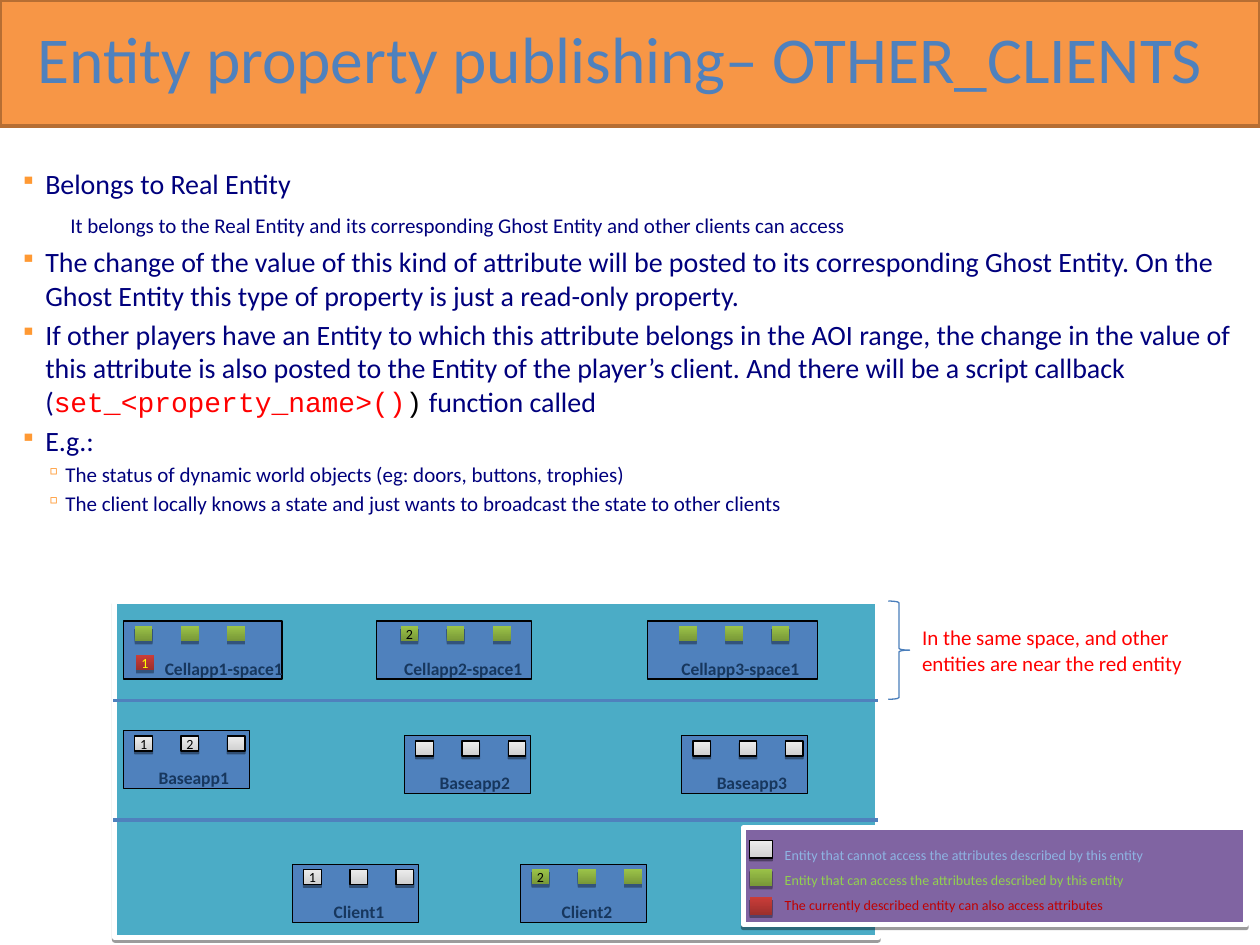
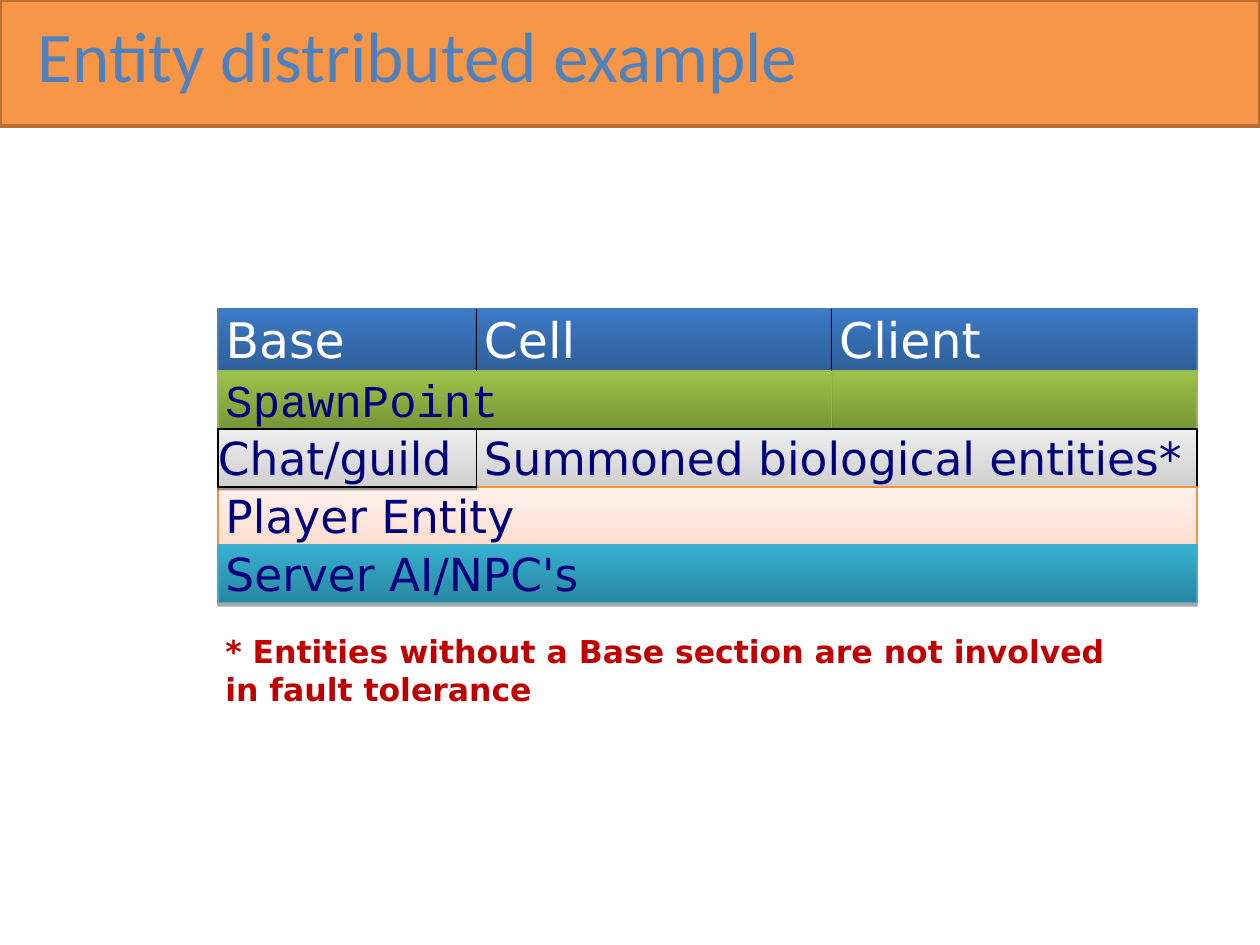
from lxml.etree import SubElement
from pptx import Presentation
from pptx.dml.color import RGBColor
from pptx.enum.shapes import MSO_CONNECTOR, MSO_SHAPE
from pptx.enum.text import MSO_ANCHOR, PP_ALIGN
from pptx.oxml.ns import qn
from pptx.util import Inches, Pt

ORANGE = RGBColor(0xF7, 0x96, 0x46)
BROWN = RGBColor(0xB6, 0x6E, 0x33)
BLUE = RGBColor(0x4F, 0x81, 0xBD)
MID_BLUE = RGBColor(0x4A, 0x7E, 0xBB)
SKY = RGBColor(0x8E, 0xB4, 0xE3)
NAVY = RGBColor(0x00, 0x00, 0x7D)
LABEL = RGBColor(0x17, 0x37, 0x5E)
TEAL = RGBColor(0x4B, 0xAC, 0xC6)
AQUA_LINE = RGBColor(0x46, 0xAA, 0xC4)
PURPLE = RGBColor(0x80, 0x64, 0xA2)
LIME = RGBColor(0x92, 0xD0, 0x50)
GREEN_LINE = RGBColor(0x98, 0xB8, 0x55)
PEACH_LINE = RGBColor(0xF5, 0x92, 0x40)
DARK_RED = RGBColor(0xC0, 0x00, 0x00)
RED = RGBColor(0xFF, 0x00, 0x00)
YELLOW = RGBColor(0xFF, 0xFF, 0x00)
BLACK = RGBColor(0x00, 0x00, 0x00)
WHITE = RGBColor(0xFF, 0xFF, 0xFF)
BULLET = "FF9933"

BLUE_GRAD = [RGBColor(0x2E, 0x5F, 0x99), RGBColor(0x3C, 0x7A, 0xC7)]
GREEN_GRAD = [RGBColor(0x77, 0x96, 0x37), RGBColor(0x9B, 0xC3, 0x48)]
RED_GRAD = [RGBColor(0x9C, 0x2F, 0x2C), RGBColor(0xCB, 0x3D, 0x39)]
GREY_GRAD = [RGBColor(0xD0, 0xD0, 0xD0), RGBColor(0xED, 0xED, 0xED)]
PEACH_GRAD = [RGBColor(0xFF, 0xDE, 0xD0), RGBColor(0xFF, 0xF1, 0xEC)]
AQUA_GRAD = [RGBColor(0x29, 0x88, 0xA1), RGBColor(0x36, 0xB0, 0xD1)]

SANS, MONO, WIDE = "Calibri", "Courier New", "DejaVu Sans"
STRONG, SOFT = (35, 1.8), (38, 1.6)
PAD = (0.1, 0.05, 0.1, 0.05)

prs = Presentation()
prs.slide_width, prs.slide_height = Inches(10), Inches(7.5)
COL = prs.slide_width / 100
ROW = prs.slide_height / 75


def box(s, x, y, w, h, fill=None, line=None, pt=0.75, shadow=None, kind=MSO_SHAPE.RECTANGLE):
    at = int(x * COL), int(y * ROW), int(w * COL), int(h * ROW)
    if kind is None:
        return s.shapes.add_textbox(*at)
    sp = s.shapes.add_shape(kind, *at)
    sp.shadow.inherit = False
    if isinstance(fill, list):
        sp.fill.gradient()
        sp.fill.gradient_angle = 90
        for stop, color in zip(sp.fill.gradient_stops, fill):
            stop.color.rgb = color
    elif fill is None:
        sp.fill.background()
    else:
        sp.fill.solid()
        sp.fill.fore_color.rgb = fill
    if line is None:
        sp.line.fill.background()
    else:
        sp.line.color.rgb = line
        sp.line.width = Pt(pt)
    if shadow:
        alpha, dist = shadow
        effects = sp._element.spPr.find(qn("a:effectLst"))
        outer = SubElement(effects, qn("a:outerShdw"), blurRad="0", dist=str(Pt(dist)),
                           dir="5400000", rotWithShape="0")
        clr = SubElement(outer, qn("a:srgbClr"), val="000000")
        SubElement(clr, qn("a:alpha"), val=str(alpha * 1000))
    return sp


def write(sp, paras, ins=PAD, anchor=MSO_ANCHOR.TOP, wrap=True):
    tf = sp.text_frame
    sides = ("margin_left", "margin_top", "margin_right", "margin_bottom")
    frame = dict(zip(sides, map(Inches, ins)), vertical_anchor=anchor, word_wrap=wrap)
    for name, value in frame.items():
        setattr(tf, name, value)
    for i, (runs, fmt) in enumerate(paras):
        p = tf.paragraphs[0] if i == 0 else tf.add_paragraph()
        p.alignment = PP_ALIGN.LEFT
        pPr = p._p.get_or_add_pPr()
        margin, indent, char, pct = fmt.get("bullet", (0, 0, None, 0))
        pPr.set("marL", str(Inches(margin)))
        pPr.set("indent", str(Inches(indent)))
        if char:
            clr = SubElement(pPr, qn("a:buClr"))
            SubElement(clr, qn("a:srgbClr"), val=BULLET)
            SubElement(pPr, qn("a:buSzPct"), val=str(pct * 1000))
            SubElement(pPr, qn("a:buChar"), char=char)
        for name in ("line_spacing", "space_before", "space_after"):
            if name in fmt:
                setattr(p, name, fmt[name])
        for text, size, font, color, *bold in runs:
            r = p.add_run()
            r.text = text
            r.font.color.rgb = color
            for name, value in {"size": Pt(size), "name": font, "bold": bool(bold)}.items():
                setattr(r.font, name, value)


slides = []
for title, size, spacing in (
    ("Entity property publishing– OTHER_CLIENTS", 37.4, 0.9),
    ("Entity distributed example", 40.7, 0.8),
):
    s = prs.slides.add_slide(prs.slide_layouts[6])
    box(s, 0, 0, 100, 10, ORANGE, BROWN, 2)
    write(box(s, 2, 1.4, 96.8, 7.1, kind=None),
          [([(title, size, SANS, BLUE)], {"line_spacing": spacing})], anchor=MSO_ANCHOR.MIDDLE)
    slides.append(s)
publishing, example = slides

s = publishing
top = {"bullet": (0.2, -0.2, "▪", 80), "space_before": Pt(3.2)}
first = {"bullet": top["bullet"]}
detail = {"bullet": (0.4, 0, None, 0), "space_before": Pt(7), "space_after": Pt(1)}
sub = {"bullet": (0.36, -0.16, "▫", 90), "space_before": Pt(2.4)}
body = [
    ([("Belongs to Real Entity", 16, SANS, NAVY)], first),
    ([("It belongs to the Real Entity and its corresponding Ghost Entity and other clients "
       "can access", 12, SANS, NAVY)], detail),
    ([("The change of the value of this kind of attribute will be posted to its corresponding "
       "Ghost Entity. On the Ghost Entity this type of property is just a read-only property.",
       16, SANS, NAVY)], top),
    ([("If other players have an Entity to which this attribute belongs in the AOI range, the "
       "change in the value of this attribute is also posted to the Entity of the player’s "
       "client. And there will be a script callback (", 16, SANS, NAVY),
      ("set_<property_name>()", 16, MONO, RED),
      (")", 16, MONO, BLACK),
      (" function called", 16, SANS, NAVY)], top),
    ([("E.g.:", 16, SANS, NAVY)], top),
    ([("The status of dynamic world objects (eg: doors, buttons, trophies)", 12, SANS, NAVY)], sub),
    ([("The client locally knows a state and just wants to broadcast the state to other clients",
       12, SANS, NAVY)], sub),
]
write(box(s, 1, 13.1, 99, 32.3, kind=None), body, (0.06, 0.01, 0.04, 0.05))

box(s, 9.1, 47.7, 60.6, 26.7, TEAL, WHITE, 3, SOFT)
for y in (55.6, 65.1):
    ln = s.shapes.add_connector(MSO_CONNECTOR.STRAIGHT, int(9 * COL), int(y * ROW),
                                int(69.7 * COL), int(y * ROW))
    ln.line.color.rgb = BLUE
    ln.line.width = Pt(2)
    SubElement(ln._element.spPr, qn("a:effectLst"))

GREEN_TOKEN = (GREEN_GRAD, None, STRONG)
GREY_TOKEN = (GREY_GRAD, BLACK, SOFT)
RED_TOKEN = (RED_GRAD, None, STRONG)
apps = [
    ("Cellapp1-space1", 9.8, 49.3, 12.6, 2.3, 12, 4.3, 0.9, GREEN_TOKEN, ("", "", "")),
    ("Cellapp2-space1", 29.9, 49.3, 12.3, 1.2, 11.8, 4.3, 1.9, GREEN_TOKEN, ("2", "", "")),
    ("Cellapp3-space1", 51.4, 49.3, 13.5, 1.7, 12.6, 4.3, 2.5, GREEN_TOKEN, ("", "", "")),
    ("Baseapp1", 9.8, 58, 10, 1.8, 7.8, 4.3, 0.9, GREY_TOKEN, ("1", "2", "")),
    ("Baseapp2", 32.1, 58.4, 10, 1.8, 7.8, 4.3, 0.9, GREY_TOKEN, ("", "", "")),
    ("Baseapp3", 54.1, 58.4, 10, 1.8, 7.8, 4.3, 0.9, GREY_TOKEN, ("", "", "")),
    ("Client1", 23.2, 68.6, 10, 2.3, 8.7, 2.6, 0.9, GREY_TOKEN, ("1", "", "")),
    ("Client2", 41.3, 68.6, 10, 2.3, 8.7, 2.6, 0.9, GREEN_TOKEN, ("2", "", "")),
]
tokens = [(10.8, 52, RED_TOKEN, "1", YELLOW)]
for name, x, y, w, label_dx, label_w, label_h, token_dx, style, marks in apps:
    box(s, x, y, w, 4.6, BLUE, BLACK)
    write(box(s, x + label_dx, y + 2.4, label_w, label_h, kind=None),
          [([(name, 10, SANS, LABEL, True)], {})])
    tokens += [(x + token_dx + 3.67 * i, y + 0.4, style, mark, BLACK)
               for i, mark in enumerate(marks)]
for x, y, (fill, line, shadow), mark, color in tokens:
    sp = box(s, x, y, 1.4, 1.2, fill, line, shadow=shadow)
    if mark:
        write(sp, [([(mark, 8, SANS, color)], {})], anchor=MSO_ANCHOR.MIDDLE, wrap=False)

brace = box(s, 70.5, 47.7, 1.7, 7.8, line=MID_BLUE, kind=MSO_SHAPE.RIGHT_BRACE)
brace.adjustments[0], brace.adjustments[1] = 0.08, 0.5
write(box(s, 72.2, 49.1, 26.7, 6.9, kind=None),
      [([("In the same space, and other entities are near the red entity", 12, SANS, RED)], {})])

legend = [
    ("Entity that cannot access the attributes described by this entity", SKY, GREY_TOKEN),
    ("Entity that can access the attributes described by this entity", LIME, GREEN_TOKEN),
    ("The currently described entity can also access attributes", DARK_RED, RED_TOKEN),
]
box(s, 59, 65.7, 39.9, 7.7, PURPLE, WHITE, 3, SOFT)
write(box(s, 61.3, 66, 37.7, 8.9, kind=None),
      [([(text, 8, SANS, color)], {"line_spacing": 1.5}) for text, color, _ in legend])
for i, (_, _, (fill, line, shadow)) in enumerate(legend):
    box(s, 59.5, 66.7 + 2.25 * i, 1.8, 1.4, fill, line, shadow=shadow)

s = example
LEFT, CELL, CLIENT, RIGHT = 17.3, 37.8, 66, 95
HEAD, HEAD_H, ROW_H = 24.5, 4.9, 4.6
rows = [HEAD + HEAD_H + 0.05 + ROW_H * i for i in range(4)]
INSET = (0.06, 0.01, 0, 0.01)
blocks = [
    ("Base", LEFT, CELL, HEAD, HEAD_H, BLUE_GRAD, MID_BLUE, STRONG, 28, WIDE, WHITE),
    ("Cell", CELL, CLIENT, HEAD, HEAD_H, BLUE_GRAD, MID_BLUE, STRONG, 28, WIDE, WHITE),
    ("Client", CLIENT, RIGHT, HEAD, HEAD_H, BLUE_GRAD, MID_BLUE, STRONG, 28, WIDE, WHITE),
    ("", 58.2, RIGHT, rows[0], ROW_H, GREEN_GRAD, GREEN_LINE, STRONG, 26, MONO, NAVY),
    ("SpawnPoint", LEFT, CLIENT, rows[0], ROW_H, GREEN_GRAD, GREEN_LINE, STRONG, 26, MONO, NAVY),
    ("Summoned biological entities*", CELL, RIGHT, rows[1], ROW_H, GREY_GRAD, BLACK, SOFT,
     26, WIDE, NAVY),
    ("Player Entity", LEFT, RIGHT, rows[2], ROW_H, PEACH_GRAD, PEACH_LINE, SOFT, 26, WIDE, NAVY),
    ("Server AI/NPC's", LEFT, RIGHT, rows[3], ROW_H, AQUA_GRAD, AQUA_LINE, STRONG, 26, WIDE, NAVY),
    ("Chat/guild", LEFT, CELL, rows[1], ROW_H, GREY_GRAD, BLACK, SOFT, 26, WIDE, NAVY),
]
for text, x1, x2, y, h, fill, line, shadow, size, font, color in blocks:
    sp = box(s, x1, y, x2 - x1, h, fill, line, shadow=shadow)
    if text:
        ins = (0, 0.01, 0, 0.01) if text == "Chat/guild" else INSET
        write(sp, [([(text, size, font, color)], {})], ins)
for x in (CELL, CLIENT):
    ln = s.shapes.add_connector(MSO_CONNECTOR.STRAIGHT, int(x * COL), int(rows[0] * ROW),
                                int(x * COL), int(HEAD * ROW))
    ln.line.color.rgb = BLACK
    ln.line.width = Pt(0.75)
    SubElement(ln._element.spPr, qn("a:effectLst"))
write(box(s, 16.9, 49.7, 72, 7, kind=None),
      [([("* Entities without a Base section are not involved in fault tolerance",
          18, WIDE, DARK_RED, True)], {})])

prs.save("out.pptx")
